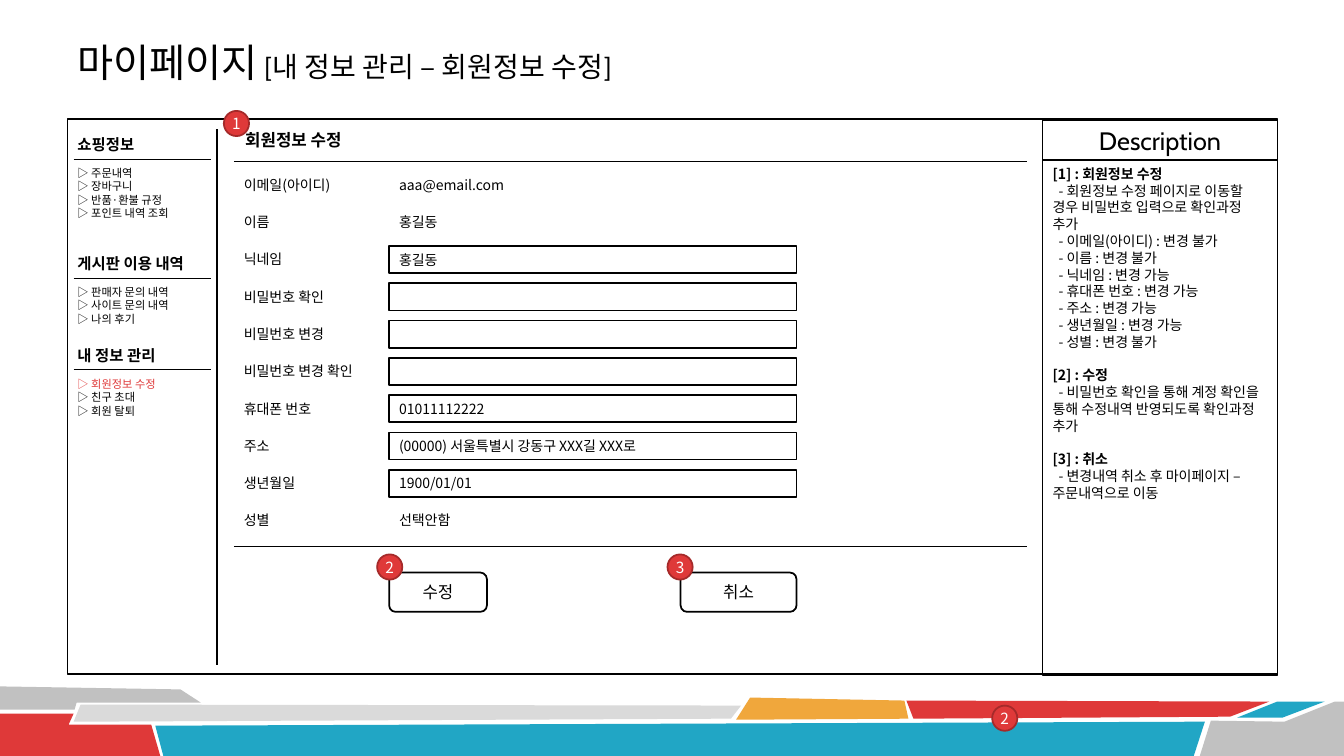
from dataclasses import dataclass

from lxml import etree
from pptx import Presentation
from pptx.dml.color import RGBColor
from pptx.enum.shapes import MSO_CONNECTOR, MSO_SHAPE
from pptx.enum.text import MSO_ANCHOR, MSO_AUTO_SIZE, PP_ALIGN
from pptx.oxml.ns import qn
from pptx.util import Inches, Pt

RECT, ROUNDED, OVAL = MSO_SHAPE.RECTANGLE, MSO_SHAPE.ROUNDED_RECTANGLE, MSO_SHAPE.OVAL
STRAIGHT = MSO_CONNECTOR.STRAIGHT
TOP, MIDDLE = MSO_ANCHOR.TOP, MSO_ANCHOR.MIDDLE
LEFT, CENTER = PP_ALIGN.LEFT, PP_ALIGN.CENTER
NO_FIT, GROW = MSO_AUTO_SIZE.NONE, MSO_AUTO_SIZE.SHAPE_TO_FIT_TEXT


@dataclass(frozen=True)
class Theme:
    korean: str = "Noto Sans CJK KR"
    title_font: str = "Calibri"
    panel_font: str = "Cabin"
    black: str = "000000"
    white: str = "FFFFFF"
    red: str = "DF3939"
    dark_red: str = "A52A2A"
    teal: str = "21A6C5"
    orange: str = "F0A73C"
    gray: str = "C1C1C1"
    pale: str = "DADADA"
    title: int = 28
    subtitle: int = 20
    panel: int = 18
    heading: int = 12
    menu: int = 11
    body: int = 10
    small: int = 8
    thin: float = 0.75
    thick: float = 1.25
    leading: float = 1.2


class Wireframe:
    def __init__(self, slide, theme):
        self.slide, self.theme, self.shapes = slide, theme, slide.shapes

    def style(self, run, size, color=None, bold=False, font=None):
        run.font.size, run.font.bold = Pt(size), bold
        run.font.name = font or self.theme.korean
        run.font.color.rgb = RGBColor.from_string(color or self.theme.black)
        east_asian = etree.SubElement(run._r.get_or_add_rPr(), qn("a:ea"))
        east_asian.set("typeface", self.theme.korean)

    def set_lines(self, frame, lines, size, align=LEFT, anchor=TOP, **look):
        frame.word_wrap, frame.vertical_anchor = True, anchor
        frame.text = "\n".join(lines)
        for paragraph in frame.paragraphs:
            paragraph.alignment = align
            paragraph.line_spacing = Pt(size * self.theme.leading)
            for run in paragraph.runs:
                self.style(run, size, **look)

    def paint(self, shape, fill=None, line=None):
        shape.shadow.inherit = False
        if fill:
            shape.fill.solid()
            shape.fill.fore_color.rgb = RGBColor.from_string(fill)
        else:
            shape.fill.background()
        if line:
            shape.line.color.rgb = RGBColor.from_string(line)
            shape.line.width = Pt(self.theme.thick)
        else:
            shape.line.fill.background()

    def place(self, shape, left, top, width, height):
        shape.left, shape.top = Inches(left), Inches(top)
        shape.width, shape.height = Inches(width), Inches(height)
        shape.element.getparent().append(shape.element)
        shape.text_frame.auto_size = NO_FIT

    def ribbon(self, points, color):
        corners = [(Inches(x), Inches(y)) for x, y in points]
        builder = self.shapes.build_freeform(*corners[0], scale=1.0)
        builder.add_line_segments(corners[1:], close=True)
        self.paint(builder.convert_to_shape(), color)

    def box(self, kind, left, top, width, height, fill=None, line=None):
        shape = self.shapes.add_shape(kind, Inches(left), Inches(top), Inches(width), Inches(height))
        self.paint(shape, fill, line)
        return shape.text_frame

    def label(self, left, top, width, height, lines, size, **look):
        frame = self.shapes.add_textbox(Inches(left), Inches(top), Inches(width), Inches(height)).text_frame
        self.set_lines(frame, lines, size, **look)
        frame.auto_size = GROW
        return frame

    def rule(self, x1, y1, x2, y2, weight):
        line = self.shapes.add_connector(STRAIGHT, Inches(x1), Inches(y1), Inches(x2), Inches(y2))
        line.line.color.rgb = RGBColor.from_string(self.theme.black)
        line.line.width = Pt(weight)
        etree.SubElement(line.element.spPr, qn("a:effectLst"))

    def badge(self, left, top, number):
        t = self.theme
        frame = self.box(OVAL, left, top, 0.25, 0.25, t.red, t.dark_red)
        frame.margin_left = frame.margin_right = frame.margin_top = frame.margin_bottom = 0
        self.set_lines(frame, [number], t.menu, CENTER, MIDDLE, color=t.white)

    def title(self, name, detail):
        t, heading = self.theme, self.shapes.title
        self.place(heading, 0.67, 0.31, 12, 0.61)
        heading.text_frame.vertical_anchor = MIDDLE
        paragraph = heading.text_frame.paragraphs[0]
        paragraph.text, paragraph.alignment = name, LEFT
        detail_run = paragraph.add_run()
        detail_run.text = detail
        for run, size in zip(paragraph.runs, (t.title, t.subtitle)):
            self.style(run, size, font=t.title_font)

    def description(self, sections):
        t, notes = self.theme, self.slide.placeholders[1]
        self.place(notes, 10.34, 1.59, 2.33, 5.11)
        notes.line.color.rgb = RGBColor.from_string(t.black)
        notes.line.width = Pt(t.thick)
        lines = [line for heading, items in sections for line in (heading, *items)]
        self.set_lines(notes.text_frame, lines, t.body)
        for index, paragraph in enumerate(notes.text_frame.paragraphs):
            is_heading = paragraph.text.startswith("[")
            paragraph.space_before = Pt(t.body * t.leading if is_heading and index else 0)
            paragraph.runs[0].font.bold = is_heading
            properties = paragraph._p.get_or_add_pPr()
            properties.set("marL", "0")
            properties.set("indent", str(0 if is_heading else Inches(0.06)))
            etree.SubElement(properties, qn("a:buNone"))

    def menu(self, top, heading, items, height):
        t = self.theme
        self.label(0.67, top, 1.49, 0.29, [heading], t.menu, bold=True)
        self.rule(0.73, top + 0.29, 2.09, top + 0.29, t.thin)
        return self.label(0.67, top + 0.31, 1.49, height, [f"▷ {item}" for item in items], t.small)

    def field(self, top, name, value, editable):
        t = self.theme
        self.label(2.32, top, 1.46, 0.27, [name], t.body)
        if editable:
            frame = self.box(RECT, 3.86, top, 4.04, 0.27, t.white, t.black)
            self.set_lines(frame, [value], t.body, anchor=MIDDLE)
        else:
            self.label(3.86, top, 4.04, 0.27, [value], t.body)

    def button(self, left, width, caption):
        t = self.theme
        frame = self.box(ROUNDED, left, 5.68, width, 0.39, t.white, t.black)
        self.set_lines(frame, [caption], t.heading, CENTER, MIDDLE)


THEME = Theme()
RIBBONS = [
    ([(0, 6.81), (1.79, 6.84), (1.99, 6.97), (0.76, 6.97), (0.74, 7.04), (0, 7.04)], THEME.gray),
    ([(0, 7.08), (0.73, 7.08), (0.68, 7.19), (1.5, 7.19), (1.59, 7.5), (0, 7.5)], THEME.red),
    ([(0.8, 6.99), (7.35, 7), (7.25, 7.13), (0.73, 7.16)], THEME.pale),
    ([(1.54, 7.2), (11.95, 7.16), (11.84, 7.5), (1.62, 7.5)], THEME.teal),
    ([(7.44, 6.92), (8.97, 6.95), (9.01, 7.13), (7.3, 7.14)], THEME.orange),
    ([(8.99, 6.95), (12.59, 6.96), (12.2, 7.11), (9.06, 7.13)], THEME.red),
    ([(12.67, 6.96), (13.14, 6.96), (12.72, 7.12), (12.27, 7.12)], THEME.teal),
    ([(12.01, 7.15), (12.74, 7.16), (13.24, 6.96), (13.33, 6.96), (13.33, 7.5), (11.9, 7.5)], THEME.gray),
]
DESCRIPTION = [
    ("[1] : 회원정보 수정", ["- 회원정보 수정 페이지로 이동할 경우 비밀번호 입력으로 확인과정 추가",
                       "- 이메일(아이디) : 변경 불가", "- 이름 : 변경 불가", "- 닉네임 : 변경 가능",
                       "- 휴대폰 번호 : 변경 가능", "- 주소 : 변경 가능",
                       "- 생년월일 : 변경 가능", "- 성별 : 변경 불가"]),
    ("[2] : 수정", ["- 비밀번호 확인을 통해 계정 확인을 통해 수정내역 반영되도록 확인과정 추가"]),
    ("[3] : 취소", ["- 변경내역 취소 후 마이페이지 – 주문내역으로 이동"]),
]
FIELDS = [
    ("이메일(아이디)", "aaa@email.com", False), ("이름", "홍길동", False), ("닉네임", "홍길동", True),
    ("비밀번호 확인", "", True), ("비밀번호 변경", "", True), ("비밀번호 변경 확인", "", True),
    ("휴대폰 번호", "01011112222", True), ("주소", "(00000) 서울특별시 강동구 XXX길 XXX로", True),
    ("생년월일", "1900/01/01", True), ("성별", "선택안함", False),
]
BADGES = [(2.22, 1.1, "1"), (3.74, 5.5, "2"), (6.62, 5.5, "3"), (9.84, 7, "2")]


def main():
    deck = Presentation()
    deck.slide_width, deck.slide_height = Inches(13.33), Inches(7.5)
    page = Wireframe(deck.slides.add_slide(deck.slide_layouts[1]), THEME)
    for points, color in RIBBONS:
        page.ribbon(points, color)
    page.box(RECT, 0.67, 1.18, 12, 5.51, THEME.white, THEME.black)
    page.title("마이페이지", " [내 정보 관리 – 회원정보 수정]")
    page.description(DESCRIPTION)
    panel_heading = page.box(RECT, 10.34, 1.19, 2.33, 0.4, line=THEME.black)
    page.set_lines(panel_heading, ["Description"], THEME.panel, CENTER, MIDDLE, font=THEME.panel_font)

    page.rule(2.15, 1.28, 2.15, 6.6, THEME.thick)
    page.menu(1.29, "쇼핑정보", ["주문내역", "장바구니", "반품·환불 규정", "포인트 내역 조회"], 0.64)
    page.menu(2.47, "게시판 이용 내역", ["판매자 문의 내역", "사이트 문의 내역", "나의 후기"], 0.5)
    account = page.menu(3.38, "내 정보 관리", ["회원정보 수정", "친구 초대", "회원 탈퇴"], 0.5)
    account.paragraphs[0].runs[0].font.color.rgb = RGBColor.from_string(THEME.red)

    form_heading = page.box(ROUNDED, 2.32, 1.25, 1.45, 0.27, THEME.white)
    page.set_lines(form_heading, ["회원정보 수정"], THEME.heading, anchor=MIDDLE, bold=True)
    for y in (1.6, 5.42):
        page.rule(2.32, y, 10.19, y, THEME.thin)
    for row, (name, value, editable) in enumerate(FIELDS):
        page.field(1.7 + 0.37 * row, name, value, editable)
    page.button(3.86, 0.97, "수정")
    page.button(6.75, 1.15, "취소")
    for left, top, number in BADGES:
        page.badge(left, top, number)
    deck.save("out.pptx")


if __name__ == "__main__":
    main()
